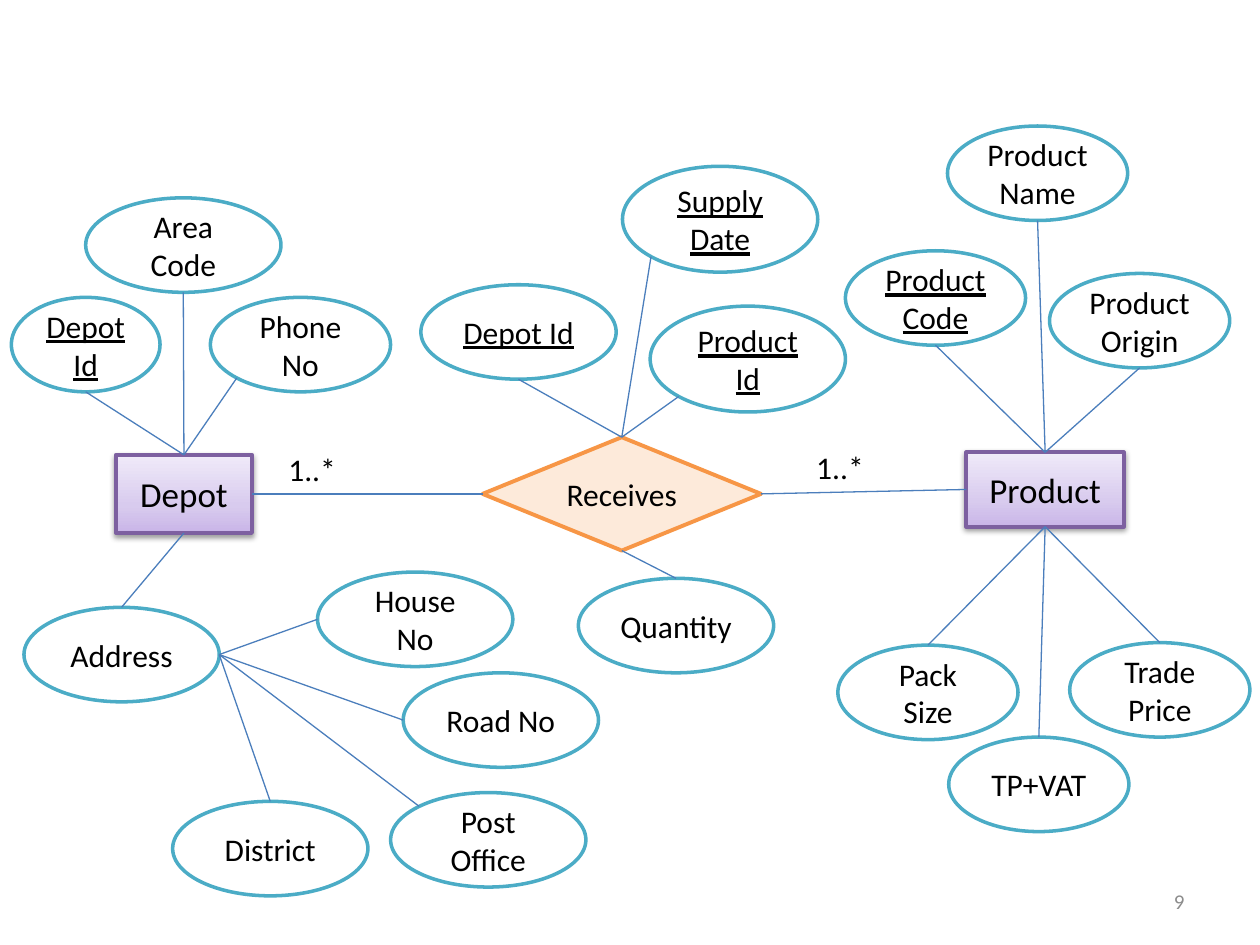
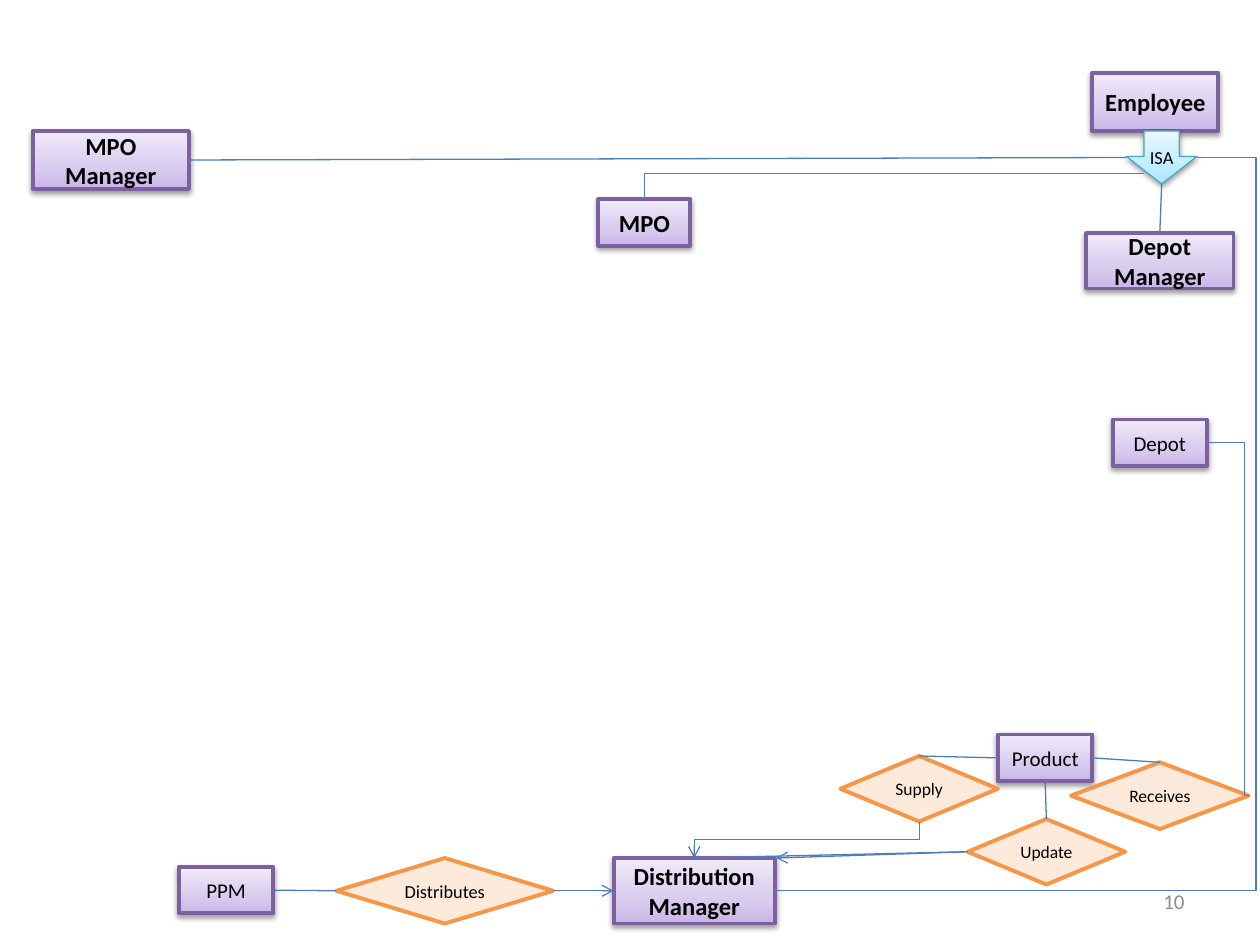
from copy import deepcopy
from math import cos, pi, sin

from lxml.etree import SubElement
from pptx import Presentation
from pptx.dml.color import RGBColor
from pptx.enum.shapes import MSO_CONNECTOR, MSO_SHAPE
from pptx.enum.text import MSO_ANCHOR, PP_ALIGN
from pptx.oxml.ns import qn
from pptx.util import Inches, Pt

FONT = "Calibri"
HUES = {
    "ink": "000000", "page": "8C8C8C", "wire": "4B7EBC",
    "box": "7D60A0", "oval": "4BACC6", "white": "FFFFFF",
    "gem": "F79646", "peach": "FDEADA", "isa": "46AAC5",
}
# Gradient stops, from the bottom up
FADES = {
    "box": ("C9B5E8", "D8CBEE", "F0EAF9"),
    "isa": ("A7E6FF", "C1EDFF", "E7F8FF"),
}
# Sites run counterclockwise from the top: 4 on a box, 8 on an oval
TOP, LEFT, LOW, RIGHT = range(4)
O_TOP, O_TOP_LEFT, O_LEFT, O_LOW_LEFT, O_LOW, _, O_RIGHT, _ = range(8)


def hue(name):
    return RGBColor.from_string(HUES[name])


def is_oval(shape):
    return shape.auto_shape_type == MSO_SHAPE.OVAL


def spot(end):
    """Point, in EMU, of a (shape, site) or (x, y) end."""
    first, site = end
    if isinstance(first, (int, float)):
        return Inches(first), Inches(site)
    mid_x = first.left + first.width / 2
    mid_y = first.top + first.height / 2
    turn = site * 2 * pi / (8 if is_oval(first) else 4)
    return (int(mid_x - first.width / 2 * sin(turn)),
            int(mid_y - first.height / 2 * cos(turn)))


class Pen:
    def __init__(self):
        self.deck = Presentation()
        self.deck.slide_width = Inches(10)
        self.deck.slide_height = Inches(7.5)
        self.slide = None

    def page(self, number):
        self.slide = self.deck.slides.add_slide(self.deck.slide_layouts[6])
        self.label(number, 7.17, 6.95, 2.33, 12, "page",
                   PP_ALIGN.RIGHT, MSO_ANCHOR.MIDDLE)

    # Text
    def letter(self, shape, text, size, color="ink", align=PP_ALIGN.CENTER,
               anchor=MSO_ANCHOR.MIDDLE, bold=False, under=False):
        frame = shape.text_frame
        frame.word_wrap = True
        frame.vertical_anchor = anchor
        para = frame.paragraphs[0]
        para.text = text
        para.alignment = align
        font = para.font
        font.name, font.size = FONT, Pt(size)
        font.bold, font.underline = bold, under
        font.color.rgb = hue(color)

    def label(self, text, x, y, w, size=18, color="ink",
              align=PP_ALIGN.LEFT, anchor=MSO_ANCHOR.TOP):
        box = self.slide.shapes.add_textbox(
            Inches(x), Inches(y), Inches(w), Inches(0.4))
        self.letter(box, text, size, color, align, anchor)

    # Shapes
    def shape(self, kind, x, y, w, h, line, width, fill=None):
        item = self.slide.shapes.add_shape(
            kind, Inches(x), Inches(y), Inches(w), Inches(h))
        item.shadow.inherit = False
        item.line.color.rgb = hue(line)
        item.line.width = Pt(width)
        if fill:
            item.fill.solid()
            item.fill.fore_color.rgb = hue(fill)
        else:
            self.fade(item, FADES[line])
            self.shade(item)
        return item

    def fade(self, item, tones):
        fill = item.fill
        fill.gradient()
        fill.gradient_angle = 90
        stops = item._element.spPr.find(".//" + qn("a:gsLst"))
        stops.insert(1, deepcopy(stops[0]))
        for stop, place, tone in zip(fill.gradient_stops, (0, 0.35, 1), tones):
            stop.position = place
            stop.color.rgb = RGBColor.from_string(tone)

    def shade(self, item):
        glow = SubElement(item._element.spPr.find(qn("a:effectLst")),
                          qn("a:outerShdw"), blurRad="40000", dist="20000",
                          dir="5400000", rotWithShape="0")
        tint = SubElement(glow, qn("a:srgbClr"), val=HUES["ink"])
        SubElement(tint, qn("a:alpha"), val="38000")

    def box(self, text, x, y, w, h, size, bold=False):
        item = self.shape(MSO_SHAPE.RECTANGLE, x, y, w, h, "box", 2.25)
        self.letter(item, text, size, bold=bold)
        return item

    def gem(self, text, x, y, w, h, size):
        item = self.shape(MSO_SHAPE.FLOWCHART_DECISION, x, y, w, h,
                          "gem", 2.25, "peach")
        self.letter(item, text, size)
        return item

    def oval(self, text, x, y, w=1.55, h=0.75, under=False):
        item = self.shape(MSO_SHAPE.OVAL, x, y, w, h, "oval", 2, "white")
        self.letter(item, text, 18, under=under)
        return item

    def isa(self, x, y, w, h):
        item = self.shape(MSO_SHAPE.DOWN_ARROW, x, y, w, h, "isa", 0.75)
        item.adjustments[1] = 0.52
        self.letter(item, "ISA", 10.5)
        frame = item.text_frame
        frame.word_wrap = False
        frame.margin_top, frame.margin_bottom = Inches(0.1), 0
        return item

    # Lines
    def wire(self, kind, start, stop, arrow=False):
        line = self.slide.shapes.add_connector(kind, *start, *stop)
        line.line.color.rgb = hue("wire")
        line.line.width = Pt(0.75)
        props = line._element.spPr
        if arrow:
            SubElement(props.find(qn("a:ln")), qn("a:tailEnd"), type="arrow")
        SubElement(props, qn("a:effectLst"))
        return line

    def link(self, start, stop, arrow=False):
        line = self.wire(MSO_CONNECTOR.STRAIGHT, spot(start), spot(stop), arrow)
        for end, join in ((start, line.begin_connect), (stop, line.end_connect)):
            if not isinstance(end[0], (int, float)) and not is_oval(end[0]):
                join(*end)

    def bend(self, start, stop, bias=None, turn=False, arrow=False, kind=None):
        a, b = spot(start), spot(stop)
        if turn:  # ends before a quarter turn about the centre
            mid_x, mid_y = (a[0] + b[0]) // 2, (a[1] + b[1]) // 2
            a, b = ((mid_x + y - mid_y, mid_y - x + mid_x) for x, y in (a, b))
        line = self.wire(MSO_CONNECTOR.ELBOW, a, b, arrow)
        props = line._element.spPr
        shell = props.find(qn("a:prstGeom"))
        if turn:
            props.find(qn("a:xfrm")).set("rot", "5400000")
        if kind:
            shell.set("prst", kind)
        if bias is not None:
            SubElement(shell.find(qn("a:avLst")), qn("a:gd"), name="adj1",
                       fmla=f"val {round(bias * 100000)}")

    def fan(self, hub, site, leaves):
        """Ovals tied to one site of a hub; each gives its own site first."""
        for own, *spec in leaves:
            self.link((self.oval(*spec), own), (hub, site))


def draw_depot(pen):
    pen.page("9")
    # Entities and their relation
    product = pen.box("Product", 7.67, 3.59, 1.25, 0.59, 20)
    depot = pen.box("Depot", 0.92, 3.61, 1.08, 0.62, 20)
    gets = pen.gem("Receives", 3.83, 3.47, 2.21, 0.9, 18)
    pen.link((gets, LEFT), (depot, RIGHT))
    pen.link((gets, RIGHT), (product, LEFT))
    for x, y in ((6.38, 3.51), (2.19, 3.52)):
        pen.label("1..*", x, y, 0.67)
    # Product fields
    pen.fan(product, LOW, [
        (O_TOP, "Pack Size", 6.65, 5.12, 1.43),
        (O_TOP, "Trade Price", 8.49, 5.1, 1.43),
        (O_TOP, "TP+VAT", 7.53, 5.85, 1.43)])
    pen.fan(product, TOP, [
        (O_LOW, "Product Code", 6.71, 1.99, 1.43, 0.75, True),
        (O_LOW, "Product Name", 7.52, 1, 1.43),
        (O_LOW, "Product Origin", 8.33, 2.17, 1.43)])
    # Depot fields
    pen.fan(depot, TOP, [
        (O_LOW, "Depot Id", 0.09, 2.36, 1.18, 0.75, True),
        (O_LOW, "Area Code", 0.68, 1.57),
        (O_LOW_LEFT, "Phone No", 1.67, 2.36, 1.43)])
    address = pen.oval("Address", 0.19, 4.82)
    pen.link((address, O_TOP), (depot, LOW))
    pen.fan(address, O_RIGHT, [
        (O_LEFT, "House No", 2.52, 4.54),
        (O_LEFT, "Road No", 3.2, 5.34),
        (O_TOP, "District", 1.37, 6.36),
        (O_TOP_LEFT, "Post Office", 3.1, 6.29)])
    # Relation fields
    pen.fan(gets, LOW, [(O_TOP, "Quantity", 4.59, 4.59)])
    pen.fan(gets, TOP, [
        (O_LOW, "Depot Id", 3.34, 2.26, 1.55, 0.75, True),
        (O_LOW_LEFT, "Supply Date", 4.94, 1.32, 1.55, 0.84, True),
        (O_LOW_LEFT, "Product Id", 5.16, 2.43, 1.55, 0.84, True)])


def draw_staff(pen):
    pen.page("10")
    # Staff
    pen.box("Employee", 8.67, 0.58, 1, 0.46, 14, True)
    isa = pen.isa(8.94, 1.04, 0.56, 0.42)
    mpo = pen.box("MPO", 4.75, 1.58, 0.73, 0.37, 14, True)
    lead = pen.box("MPO Manager", 0.26, 1.04, 1.24, 0.46, 14, True)
    keeper = pen.box("Depot Manager", 8.62, 1.85, 1.17, 0.44, 14, True)
    # Goods and relations
    update = pen.gem("Update", 7.68, 6.5, 1.25, 0.52, 10)
    product = pen.box("Product", 7.92, 5.83, 0.75, 0.37, 12)
    supply = pen.gem("Supply", 6.67, 6, 1.25, 0.52, 10)
    chief = pen.box("Distribution Manager", 4.87, 6.81, 1.28, 0.52, 14, True)
    depot = pen.box("Depot", 8.83, 3.33, 0.75, 0.37, 12)
    gets = pen.gem("Receives", 8.5, 6.05, 1.41, 0.53, 10)
    deals = pen.gem("Distributes", 2.67, 6.81, 1.72, 0.52, 10.5)
    ppm = pen.box("PPM", 1.42, 6.88, 0.75, 0.37, 12)
    # Straight lines
    pen.link((isa, LEFT), (lead, RIGHT))
    pen.link((isa, LOW), (keeper, TOP))
    pen.link((chief, TOP), (update, LEFT))
    pen.link((product, LOW), (update, TOP))
    pen.link((supply, TOP), (product, LEFT))
    pen.link((gets, TOP), (product, RIGHT))
    pen.link((deals, LEFT), (ppm, RIGHT))
    pen.link((update, LEFT), (6.16, 6.81), arrow=True)
    pen.link((deals, RIGHT), (chief, LEFT), arrow=True)
    # Bent lines
    pen.bend((mpo, TOP), (9.08, 1.38), turn=True, kind="bentConnector2")
    pen.bend((isa, RIGHT), (chief, RIGHT), bias=-0.14)
    pen.bend((depot, RIGHT), (gets, RIGHT), bias=0.9)
    pen.bend((supply, LOW), (chief, TOP), turn=True, arrow=True)


def main():
    pen = Pen()
    draw_depot(pen)
    draw_staff(pen)
    pen.deck.save("out.pptx")


if __name__ == "__main__":
    main()
